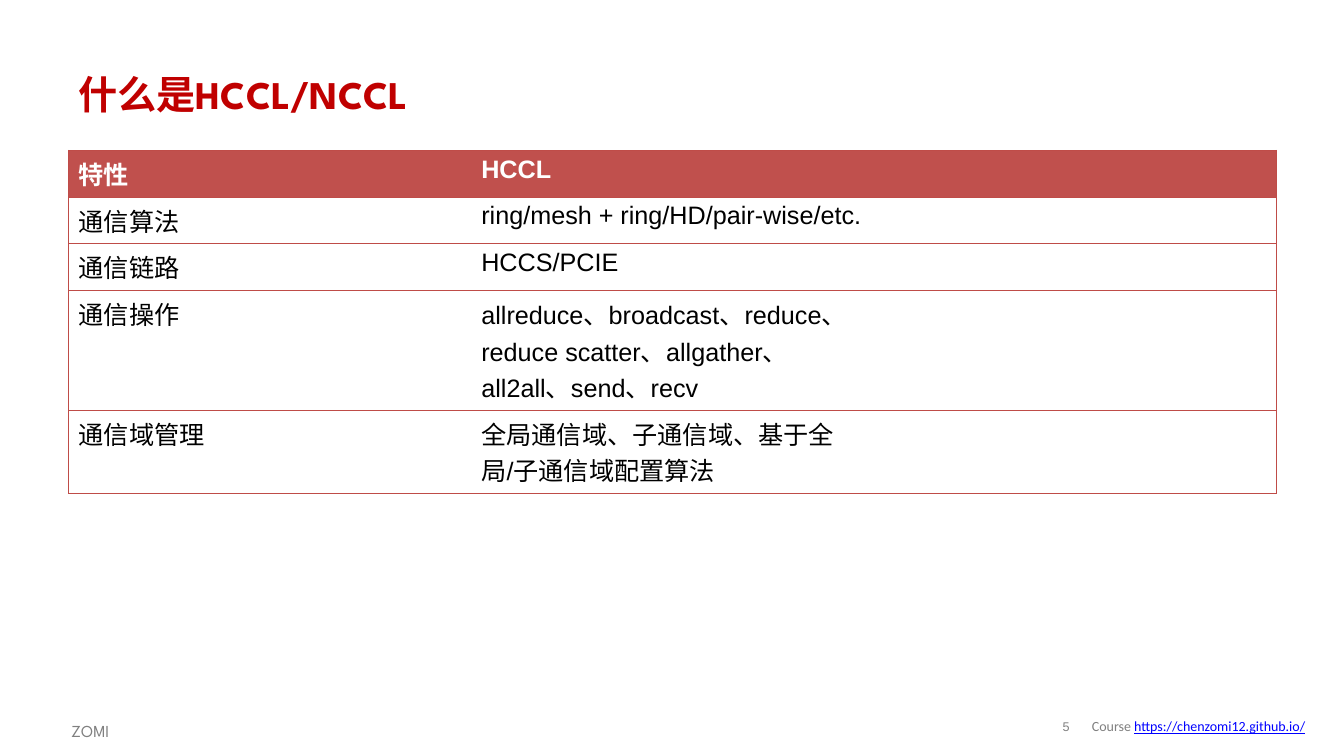
from lxml.etree import SubElement
from pptx import Presentation
from pptx.dml.color import RGBColor as RGB
from pptx.enum.text import MSO_ANCHOR as ANCHOR, PP_ALIGN as ALIGN
from pptx.oxml.ns import qn
from pptx.util import Pt

RED = RGB(0xC0, 0x00, 0x00)
BRICK = RGB(0xC0, 0x50, 0x4D)
BORDER = RGB(0xBF, 0x4C, 0x48)
GRAY = RGB(0x80, 0x80, 0x80)
BLUE = RGB(0x00, 0x00, 0xFF)
BLACK = RGB(0x00, 0x00, 0x00)
WHITE = RGB(0xFF, 0xFF, 0xFF)
NO_GRID = "{2D5ABB26-0587-4C30-8999-92F81FD0307C}"


def add_run(p, text, color, **fmt):
    r = p.add_run()
    r.text = text
    r.font.color.rgb = color
    for name, value in fmt.items():
        setattr(r.font, name, value)


def add_border(cell, side):
    ln = SubElement(cell._tc.get_or_add_tcPr(), qn(f"a:ln{side}"), w=str(Pt(0.75)))
    fill = SubElement(ln, qn("a:solidFill"))
    SubElement(fill, qn("a:srgbClr"), val=str(BORDER))


prs = Presentation()
prs.slide_width, prs.slide_height = Pt(960.5), Pt(540)
s = prs.slides.add_slide(prs.slide_layouts[6])

title = dict(name="League Spartan", size=Pt(28), bold=True)
number = dict(name="Arial", size=Pt(9))
author = dict(name="League Spartan", size=Pt(12))
course = dict(name="Calibri", size=Pt(10))
link = dict(course, underline=True)
boxes = [
    ((749, 508.3, 26, 22.3), ANCHOR.MIDDLE, dict(alignment=ALIGN.CENTER, line_spacing=0.85), 0,
     [("5", GRAY, number)]),
    ((44, 508.3, 57.6, 23), ANCHOR.TOP, dict(line_spacing=1.2), None,
     [("ZOMI", GRAY, author)]),
    ((773.3, 508.3, 177, 21), ANCHOR.MIDDLE, {}, None,
     [("Course ", GRAY, course), ("https://chenzomi12.github.io/", BLUE, link)]),
    ((49, 44, 863.3, 46), ANCHOR.MIDDLE, {}, None,
     [("什么是HCCL/NCCL", RED, title)]),
]
for place, anchor, para, margin, runs in boxes:
    tf = s.shapes.add_textbox(*map(Pt, place)).text_frame
    tf.word_wrap = True
    tf.vertical_anchor = anchor
    if margin is not None:
        for side in ("left", "top", "right", "bottom"):
            setattr(tf, f"margin_{side}", Pt(margin))
    p = tf.paragraphs[0]
    for name, value in para.items():
        setattr(p, name, value)
    for text, color, fmt in runs:
        add_run(p, text, color, **fmt)

rows = [
    (33.4, "特性", "HCCL"),
    (33.4, "通信算法", "ring/mesh + ring/HD/pair-wise/etc."),
    (33.4, "通信链路", "HCCS/PCIE"),
    (85.5, "通信操作",
     "allreduce、broadcast、reduce、reduce scatter、allgather、all2all、send、recv"),
    (59.4, "通信域管理", "全局通信域、子通信域、基于全局/子通信域配置算法"),
]
height = sum(row[0] for row in rows)
table = s.shapes.add_table(len(rows), 3, Pt(49), Pt(107.3), Pt(863.4), Pt(height)).table
table._tbl.tblPr.find(qn("a:tableStyleId")).text = NO_GRID
table.horz_banding = False
for col in table.columns:
    col.width = Pt(287.8)

for i, (row_height, *texts) in enumerate(rows):
    table.rows[i].height = Pt(row_height)
    header = i == 0
    for j, text in enumerate(texts + [""]):
        cell = table.cell(i, j)
        for side in {0: "LTB", 1: "TB", 2: "RTB"}[j]:
            add_border(cell, side)
        cell.fill.solid()
        cell.fill.fore_color.rgb = BRICK if header else WHITE
        p = cell.text_frame.paragraphs[0]
        p.font.size = Pt(18)
        if text:
            add_run(p, text, WHITE if header else BLACK, name="Arial", size=Pt(18), bold=header)

prs.save("out.pptx")
